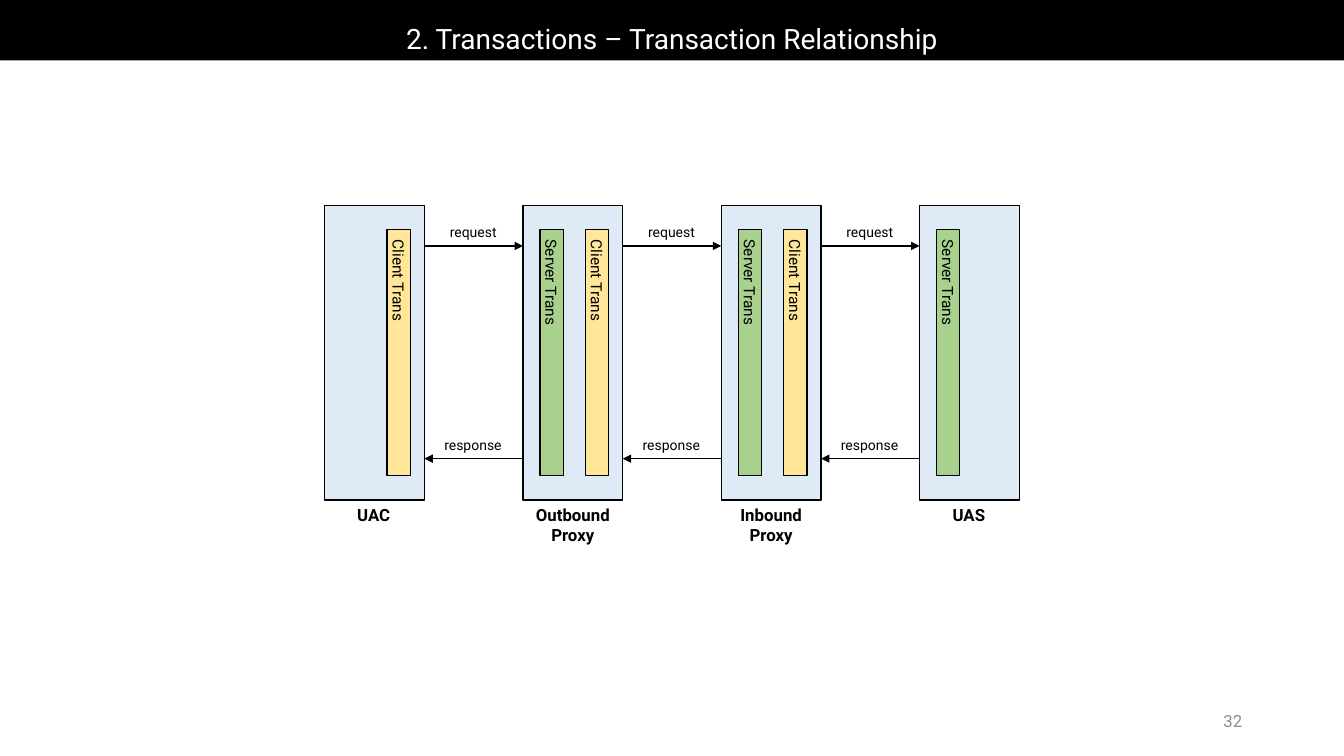
from lxml import etree
from pptx import Presentation
from pptx import util as u
from pptx.dml.color import RGBColor
from pptx.enum import shapes, text
from pptx.oxml.ns import qn

COLORS = {
    "black": "000000", "white": "FFFFFF", "gray": "8C8C8C",
    "node": "DEEBF7", "client": "FFE699", "server": "A9D18E",
}
CENTER, LEFT, RIGHT = text.PP_ALIGN.CENTER, text.PP_ALIGN.LEFT, text.PP_ALIGN.RIGHT
TOP, MIDDLE, BOTTOM = text.MSO_ANCHOR.TOP, text.MSO_ANCHOR.MIDDLE, text.MSO_ANCHOR.BOTTOM


class Diagram:
    font = "Roboto"
    line_width = u.Pt(1)

    def __init__(self, slide):
        self.slide = slide

    def color(self, name):
        return RGBColor.from_string(COLORS[name])

    def add_lines(self, frame, lines, size, color="black", align=CENTER, anchor=TOP,
                  bold=False, spacing=None):
        frame.vertical_anchor = anchor
        for index, line in enumerate(lines):
            paragraph = frame.paragraphs[0] if index == 0 else frame.add_paragraph()
            paragraph.alignment = align
            paragraph.line_spacing = spacing
            run = paragraph.add_run()
            run.text = line
            run.font.name = self.font
            run.font.size = u.Pt(size)
            run.font.bold = bold
            run.font.color.rgb = self.color(color)

    def box(self, left, top, width, height, fill, outlined=True):
        rect = self.slide.shapes.add_shape(
            shapes.MSO_SHAPE.RECTANGLE,
            u.Inches(left), u.Inches(top), u.Inches(width), u.Inches(height))
        rect.shadow.inherit = False
        rect.fill.solid()
        rect.fill.fore_color.rgb = self.color(fill)
        if outlined:
            rect.line.color.rgb = self.color("black")
            rect.line.width = self.line_width
        else:
            rect.line.fill.background()
        return rect

    def transaction(self, left, role, fill):
        bar = self.box(left, 2.28, 0.23, 2.44, fill)
        self.add_lines(bar.text_frame, [f"{role} Trans"], 11, anchor=MIDDLE)
        bar.text_frame._txBody.bodyPr.set("vert", "eaVert")

    def label(self, left, top, width, height, lines, size, wrap=False, **style):
        frame = self.slide.shapes.add_textbox(
            u.Inches(left), u.Inches(top), u.Inches(width), u.Inches(height)).text_frame
        frame.word_wrap = wrap
        if not wrap:
            frame.auto_size = text.MSO_AUTO_SIZE.SHAPE_TO_FIT_TEXT
        self.add_lines(frame, lines, size, **style)

    def arrow(self, start, end, y, arrow_end):
        message = self.slide.shapes.add_connector(
            shapes.MSO_CONNECTOR.STRAIGHT,
            u.Inches(start), u.Inches(y), u.Inches(end), u.Inches(y))
        message.line.color.rgb = self.color("black")
        message.line.width = self.line_width
        properties = message._element.spPr
        etree.SubElement(properties.find(qn("a:ln")), qn(f"a:{arrow_end}"), type="triangle")
        etree.SubElement(properties, qn("a:effectLst"))


def main():
    deck = Presentation()
    deck.slide_width, deck.slide_height = u.Inches(13.33), u.Inches(7.5)
    diagram = Diagram(deck.slides.add_slide(deck.slide_layouts[6]))

    title = diagram.box(0, 0, 13.33, 0.6, "black", outlined=False)
    diagram.add_lines(title.text_frame, ["2. Transactions – Transaction Relationship"], 20,
                      color="white", anchor=BOTTOM, spacing=0.9)
    diagram.label(9.42, 6.95, 3, 0.4, ["32"], 12, wrap=True,
                  color="gray", align=RIGHT, anchor=MIDDLE)

    first_left, pitch, node_width = 3.22, 5.9 / 3, 0.99
    nodes = [
        (["UAC"], 0.54, False, True),
        (["Outbound", "Proxy"], 0.94, True, True),
        (["Inbound", "Proxy"], 0.82, True, True),
        (["UAS"], 0.53, True, False),
    ]
    messages = [
        ("request", 0.67, 2.17, 2.44, "tailEnd"),
        ("response", 0.78, 4.28, 4.55, "headEnd"),
    ]

    for index, (name, name_width, has_server, has_client) in enumerate(nodes):
        left = first_left + index * pitch
        diagram.box(left, 2.04, node_width, 2.92, "node")
        if has_client:
            diagram.transaction(left + 0.62, "Client", "client")
        if has_server:
            diagram.transaction(left + 0.17, "Server", "server")
        diagram.label(left + (node_width - name_width) / 2, 4.96, name_width,
                      0.1 + 0.2 * len(name), name, 12, bold=True,
                      align=CENTER if len(name) > 1 else LEFT)

    for index in range(len(nodes) - 1):
        start = first_left + index * pitch + node_width
        end = first_left + (index + 1) * pitch
        for word, word_width, word_top, arrow_y, arrow_end in messages:
            diagram.label((start + end - word_width) / 2, word_top, word_width, 0.27,
                          [word], 10, align=LEFT)
            diagram.arrow(start, end, arrow_y, arrow_end)

    deck.save("out.pptx")


if __name__ == "__main__":
    main()
